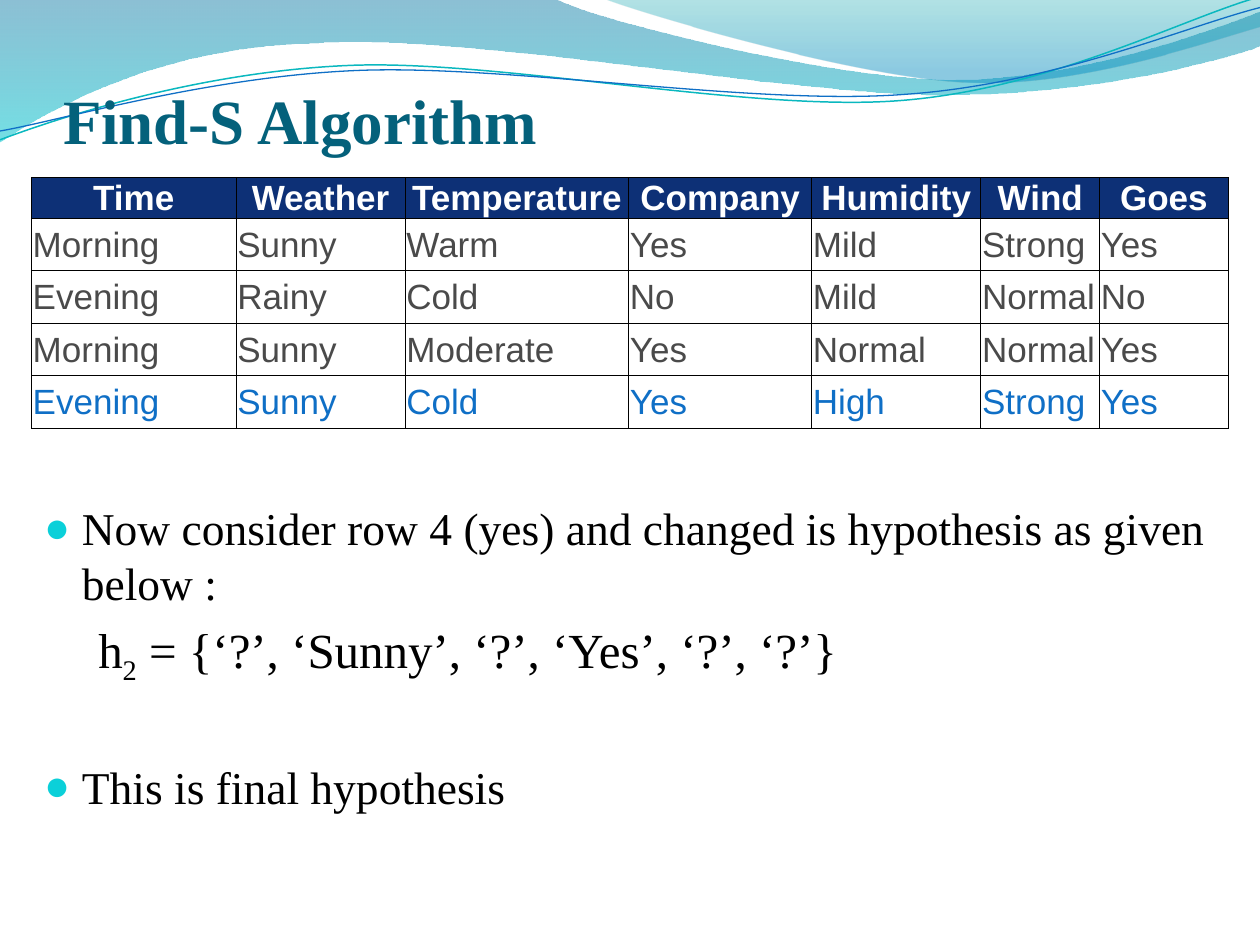
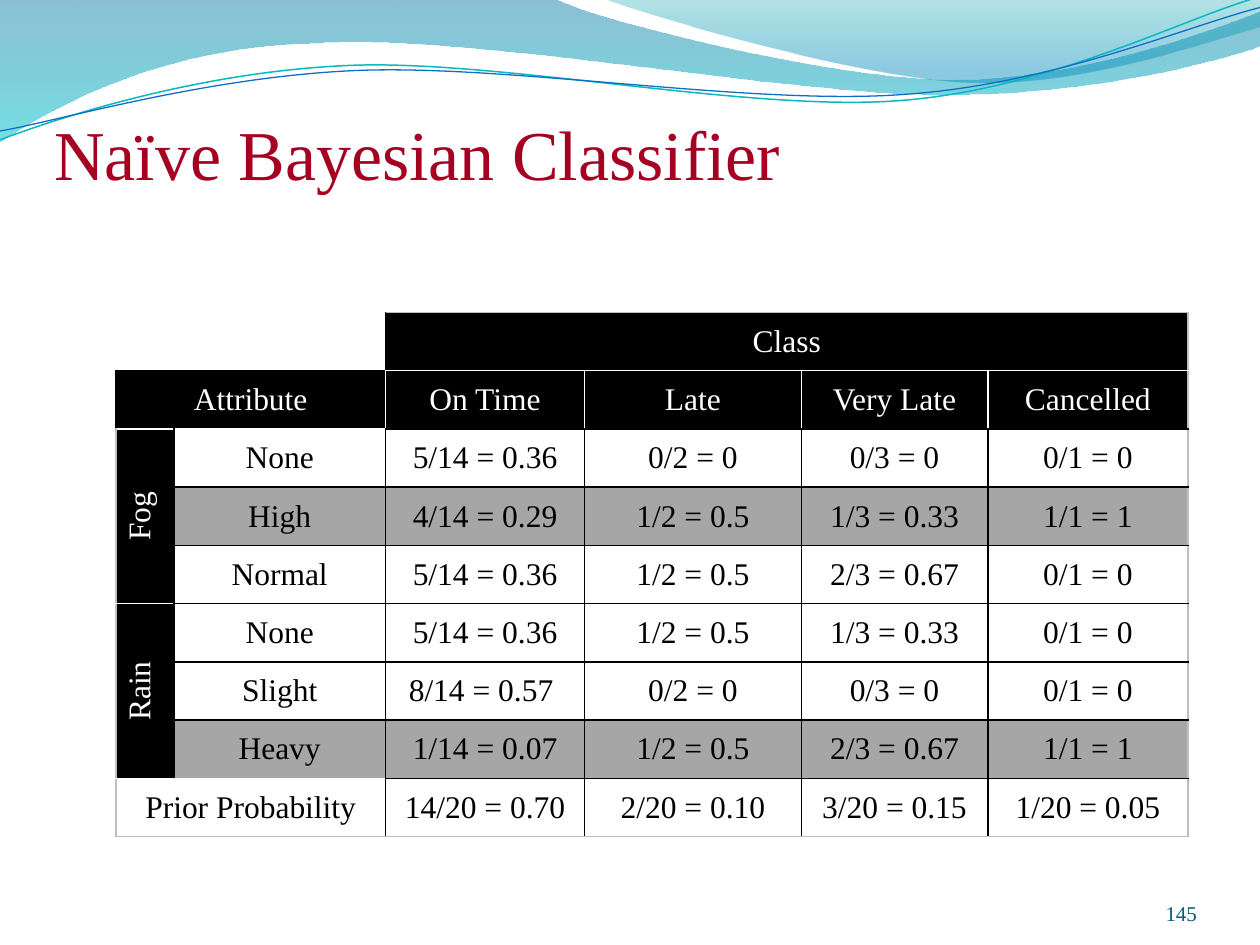
from lxml import etree
from pptx import Presentation
from pptx.dml.color import RGBColor
from pptx.enum.text import MSO_ANCHOR, MSO_AUTO_SIZE, PP_ALIGN
from pptx.oxml.ns import qn
from pptx.util import Inches, Pt

LEFT, CENTER, RIGHT = PP_ALIGN.LEFT, PP_ALIGN.CENTER, PP_ALIGN.RIGHT
MIDDLE, BOTTOM = MSO_ANCHOR.MIDDLE, MSO_ANCHOR.BOTTOM
SERIF, SANS = "Times New Roman", "Arial"
BLACK, WHITE, GREY, SHADE = "000000", "FFFFFF", "BFBFBF", "A6A6A6"
TEAL, RED, NAVY, BLUE = "04617B", "A50021", "0D3076", "0F6FC6"
INK, AQUA, PAGE = "4A4A4A", "0BD0D9", "045D75"

# Each wave: start, then steps; a step of 2 numbers is a line, of 6 a curve.
WAVES = [
    {"start": (0, 0), "steps": [
        (4.4, -0.01), (4.76, 0.17, 6.64, 0.63, 7.58, 0.63),
        (8.53, 0.63, 9.58, 0.26, 10, 0.09), (10.01, 0.36),
        (9.83, 0.44, 8.7, 0.76, 7.46, 0.75),
        (6.22, 0.75, 3.82, 0.28, 2.57, 0.34),
        (1.29, 0.36, 0.46, 0.83, -0.01, 1.13)],
     "fill": [(0, "0074A1", 45), (1, "00C6CF", 55)]},
    {"start": (4.79, -0.01), "steps": [
        (5.09, 0.11, 6.82, 0.62, 7.69, 0.65),
        (8.56, 0.69, 9.61, 0.32, 10, 0.21), (10, 0)],
     "fill": [(0, "00A1A9", 30), (0.8, "008BBF", 45)]},
    {"start": (0, 1.11), "steps": [
        (0.48, 0.93, 1.58, 0.57, 2.77, 0.52),
        (3.95, 0.47, 5.93, 0.89, 7.13, 0.8),
        (8.33, 0.71, 9.38, 0.15, 9.98, -0.02)],
     "line": ("0AB8BF", 0.85)},
    {"start": (0, 1.04), "steps": [
        (0.47, 0.96, 1.64, 0.61, 2.83, 0.56),
        (4.03, 0.51, 5.97, 0.84, 7.17, 0.75),
        (8.36, 0.67, 9.41, 0.21, 10, 0.06)],
     "line": (BLUE, 0.75)},
]

DAYS = [
    ["Time", "Weather", "Temperature", "Company", "Humidity", "Wind", "Goes"],
    ["Morning", "Sunny", "Warm", "Yes", "Mild", "Strong", "Yes"],
    ["Evening", "Rainy", "Cold", "No", "Mild", "Normal", "No"],
    ["Morning", "Sunny", "Moderate", "Yes", "Normal", "Normal", "Yes"],
    ["Evening", "Sunny", "Cold", "Yes", "High", "Strong", "Yes"],
]
DAY_COLS = [1.62, 1.34, 1.77, 1.45, 1.34, 0.94, 1.02]
DAY_ROWS = [0.32] + [1.67 / 4] * 4

# Text, bullet, left indent, first line indent, size, space before
POINTS = [
    ("Now consider row 4 (yes) and changed is hypothesis as given below :",
     True, 0.3, -0.3, 26, 0),
    ("h2\u00a0= {‘?’, ‘Sunny’, ‘?’, ‘Yes’, ‘?’, ‘?’}", False, 0.7, -0.27, 28, 5.6),
    ("This is final hypothesis", True, 0.3, -0.3, 26, 41.5),
]

ODDS = [
    ["", "", "Class", "", "", ""],
    ["Attribute", "", "On Time", "Late", "Very Late", "Cancelled"],
    ["Fog", "None", "5/14 = 0.36", "0/2 = 0", "0/3 = 0", "0/1 = 0"],
    ["", "High", "4/14 = 0.29", "1/2 = 0.5", "1/3 = 0.33", "1/1 = 1"],
    ["", "Normal", "5/14 = 0.36", "1/2 = 0.5", "2/3 = 0.67", "0/1 = 0"],
    ["Rain", "None", "5/14 = 0.36", "1/2 = 0.5", "1/3 = 0.33", "0/1 = 0"],
    ["", "Slight", "8/14 = 0.57 ", "0/2 = 0", "0/3 = 0", "0/1 = 0"],
    ["", "Heavy", "1/14 = 0.07", "1/2 = 0.5", "2/3 = 0.67", "1/1 = 1"],
    ["Prior Probability", "", "14/20 = 0.70", "2/20 = 0.10",
     "3/20 = 0.15", "1/20 = 0.05"],
]
ODD_COLS = [0.46, 1.68, 1.58, 1.72, 1.48, 1.59]
ODD_ROWS = [4.16 / 9] * 9
SPANS = [(0, 0, 0, 1), (0, 2, 0, 5), (1, 0, 1, 1),
         (2, 0, 4, 0), (5, 0, 7, 0), (8, 0, 8, 1)]
SHADED = (3, 7)


def rgb(code):
    return RGBColor.from_string(code)


def add(parent, tag, **attrs):
    node = etree.SubElement(parent, qn(tag))
    for key, value in attrs.items():
        node.set(key, str(value))
    return node


def place(shape, left, top, width, height):
    shape.left, shape.top = Inches(left), Inches(top)
    shape.width, shape.height = Inches(width), Inches(height)


def inset(frame, left, top, right, bottom):
    frame.margin_left, frame.margin_top = Inches(left), Inches(top)
    frame.margin_right, frame.margin_bottom = Inches(right), Inches(bottom)


def style(para, size, color, align=LEFT, face=SERIF, bold=False):
    para.alignment = align
    for run in para.runs:
        font = run.font
        font.size, font.name, font.bold = Pt(size), face, bold
        font.color.rgb = rgb(color)


def bend(shape, steps):
    """Join the three lines of each curved step into one cubic curve."""
    lines = iter(list(shape.element.iter(qn("a:lnTo"))))
    for step in steps:
        group = [next(lines) for _ in range(len(step) // 2)]
        if len(group) == 3:
            curve = etree.Element(qn("a:cubicBezTo"))
            group[0].addprevious(curve)
            for line in group:
                curve.append(line[0])
                line.getparent().remove(line)


def draw_wave(slide, wave):
    steps = wave["steps"]
    spots = [(Inches(step[i]), Inches(step[i + 1]))
             for step in steps for i in range(0, len(step), 2)]
    pen = slide.shapes.build_freeform(*map(Inches, wave["start"]), scale=1.0)
    pen.add_line_segments(spots, close="fill" in wave)
    shape = pen.convert_to_shape()
    bend(shape, steps)
    shape.shadow.inherit = False
    if "line" in wave:
        color, width = wave["line"]
        shape.fill.background()
        shape.line.color.rgb = rgb(color)
        shape.line.width = Pt(width)
        return shape
    shape.line.fill.background()
    shape.fill.gradient()
    shape.fill.gradient_angle = 270
    for stop, (spot, color, _) in zip(shape.fill.gradient_stops, wave["fill"]):
        stop.position = spot
        stop.color.rgb = rgb(color)
    for node, (_, _, alpha) in zip(shape.element.iter(qn("a:gs")), wave["fill"]):
        add(node[0], "a:alpha", val=alpha * 1000)
    return shape


def share_waves(prs, slide):
    """Put the waves on the master, behind everything else."""
    tree = prs.slide_master.shapes.element
    for i, wave in enumerate(WAVES):
        node = draw_wave(slide, wave).element
        node.xpath(".//p:cNvPr")[0].set("id", str(100 + i))
        tree.insert(2 + i, node)


def set_title(slide, text, left, top, size, color, bold=False):
    title = slide.shapes.title
    place(title, left, top, 9, 1.25)
    frame = title.text_frame
    frame.text = text
    frame.auto_size = MSO_AUTO_SIZE.NONE
    frame.vertical_anchor = BOTTOM
    inset(frame, 0, 0.05, 0, 0)
    style(frame.paragraphs[0], size, color, bold=bold)


def add_grid(slide, rows, left, top, width, shares, heights):
    """Add a plain table whose columns share the width in proportion."""
    table = slide.shapes.add_table(
        len(rows), len(shares), *map(Inches, (left, top, width, sum(heights)))).table
    table.first_row = table.horz_banding = False
    for col, share in zip(table.columns, shares):
        col.width = Inches(width * share / sum(shares))
    for row, height in zip(table.rows, heights):
        row.height = Inches(height)
    return table


def fill_cell(cell, text, fill, edges, width, margins):
    """Set text, fill and the left, right, top and bottom edge colours."""
    cell.text = text
    cell.vertical_anchor = MIDDLE
    inset(cell, *margins)
    if fill:
        cell.fill.solid()
        cell.fill.fore_color.rgb = rgb(fill)
    else:
        cell.fill.background()
    props = cell._tc.get_or_add_tcPr()
    for i, (side, color) in enumerate(zip("LRTB", edges)):
        line = add(props, f"a:ln{side}", w=Pt(width))
        if color:
            add(add(line, "a:solidFill"), "a:srgbClr", val=color)
        else:
            add(line, "a:noFill")
        props.insert(i, line)


def upright(x, r):
    """Colour of the vertical edge x in row r."""
    if (x == 0 and r == 0) or (x == 1 and r in (0, 1, 8)):
        return None
    if x == 6 or (x == 0 and r > 1) or (x > 2 and r == 0):
        return GREY
    return WHITE if r == 1 and x > 1 else BLACK


def level(y, c):
    """Colour of the horizontal edge y in column c."""
    if y == 0:
        return None if c < 2 else GREY
    if y == 9:
        return GREY
    if y == 1:
        return BLACK if c < 2 else WHITE
    split = (y in (2, 8) and c < 2) or (y == 5 and c == 0)
    return WHITE if split else BLACK


def add_points(slide):
    body = slide.placeholders[1]
    place(body, 0.25, 3.92, 9.5, 3.25)
    frame = body.text_frame
    frame.text = "\n".join(point[0] for point in POINTS)
    frame.auto_size = MSO_AUTO_SIZE.NONE
    inset(frame, 0.1, 0.05, 0.1, 0.05)
    for para, (text, dot, left, first, size, gap) in zip(frame.paragraphs, POINTS):
        props = para._p.get_or_add_pPr()
        props.set("marL", str(Inches(left)))
        props.set("indent", str(Inches(first)))
        if dot:
            add(add(props, "a:buClr"), "a:srgbClr", val=AQUA)
            add(props, "a:buSzPct", val=95000)
            add(props, "a:buChar", char="●")
        else:
            add(props, "a:buNone")
            para.runs[0].text = text[0]
            for part in (text[1], text[2:]):
                para.add_run().text = part
            para.runs[1].font._element.set("baseline", "-25000")
        para.space_before = Pt(gap)
        style(para, size, BLACK)


def build_finds(slide):
    set_title(slide, "Find-S Algorithm", 0.5, 0, 36, TEAL, bold=True)
    table = add_grid(slide, DAYS, 0.25, 1.41, 9.5, DAY_COLS, DAY_ROWS)
    last = len(DAYS) - 1
    for r, row in enumerate(DAYS):
        head = r == 0
        color = WHITE if head else BLUE if r == last else INK
        for c, text in enumerate(row):
            cell = table.cell(r, c)
            fill_cell(cell, text, NAVY if head else None, [BLACK] * 4, 0.5,
                      (0.01, 0.01, 0.01, 0))
            style(cell.text_frame.paragraphs[0], 20, color,
                  CENTER if head else LEFT, SANS, head)
    add_points(slide)


def build_bayes(slide):
    set_title(slide, "Naïve Bayesian Classifier", 0.43, 0.29, 40, RED)
    table = add_grid(slide, ODDS, 0.92, 2.48, 8.51, ODD_COLS, ODD_ROWS)
    for top, left, bottom, right in SPANS:
        table.cell(top, left).merge(table.cell(bottom, right))
    for r, row in enumerate(ODDS):
        for c, text in enumerate(row):
            side = c == 0 and 2 <= r <= 7
            dark = side or r == 1 or (r == 0 and c > 1)
            fill = BLACK if dark else SHADE if r in SHADED else None
            edges = upright(c, r), upright(c + 1, r), level(r, c), level(r + 1, c)
            cell = table.cell(r, c)
            fill_cell(cell, text, fill, edges, 1, (0.1, 0.05, 0.1, 0.05))
            if side:
                cell._tc.get_or_add_tcPr().set("vert", "vert270")
            style(cell.text_frame.paragraphs[0], 18, WHITE if dark else BLACK, CENTER)
    box = slide.shapes.add_textbox(*map(Inches, (8.67, 6.95, 0.83, 0.4)))
    frame = box.text_frame
    frame.text = "145"
    frame.word_wrap = True
    frame.vertical_anchor = BOTTOM
    inset(frame, 0, 0, 0, 0)
    style(frame.paragraphs[0], 12, PAGE, RIGHT)


def main():
    prs = Presentation()
    prs.slide_width, prs.slide_height = Inches(10), Inches(7.5)
    finds = prs.slides.add_slide(prs.slide_layouts[1])
    bayes = prs.slides.add_slide(prs.slide_layouts[5])
    share_waves(prs, finds)
    build_finds(finds)
    build_bayes(bayes)
    prs.save("out.pptx")


if __name__ == "__main__":
    main()
